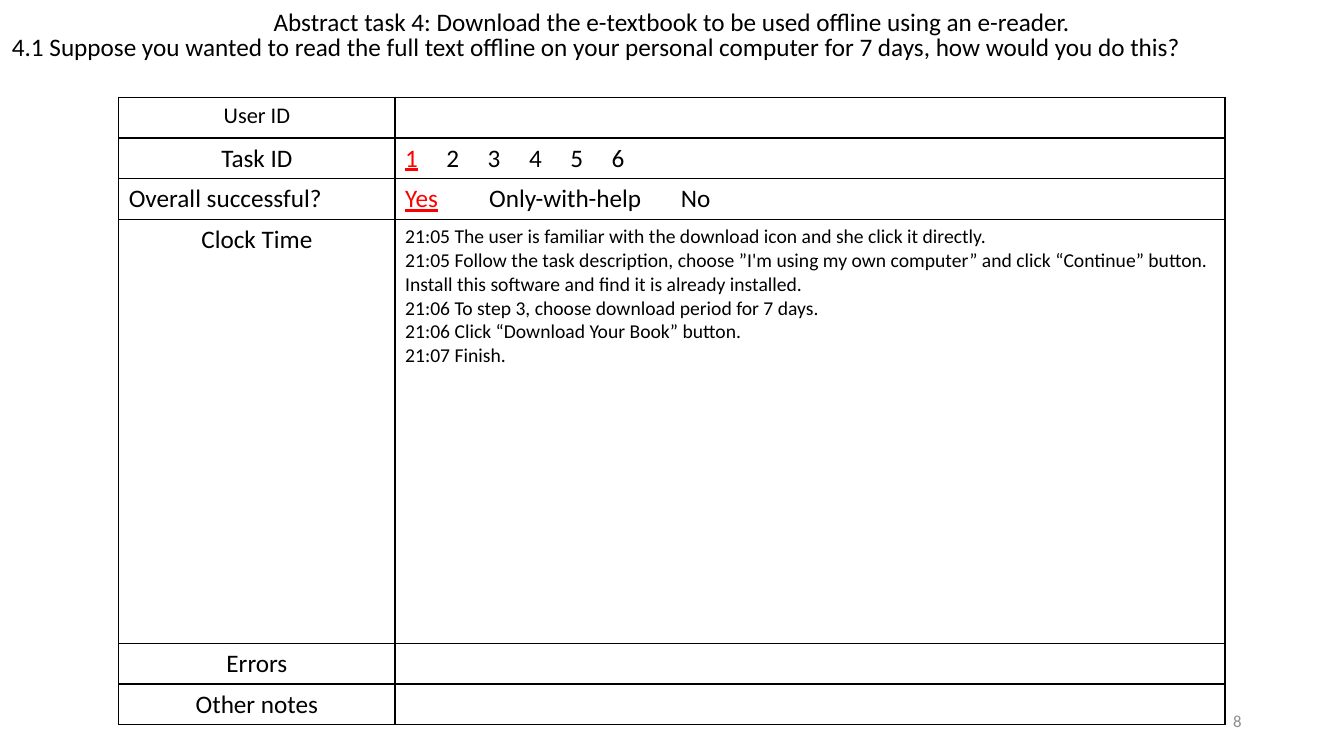
from lxml import etree
from pptx import Presentation
from pptx.dml.color import RGBColor
from pptx.enum.text import MSO_ANCHOR, PP_ALIGN
from pptx.oxml.ns import qn
from pptx.util import Pt

LEFT, MID, RIGHT = PP_ALIGN.LEFT, PP_ALIGN.CENTER, PP_ALIGN.RIGHT
TOP, HALF = MSO_ANCHOR.TOP, MSO_ANCHOR.MIDDLE
BLACK = RGBColor(0, 0, 0)
RED = RGBColor(255, 0, 0)
GREY = RGBColor(0x8C, 0x8C, 0x8C)

ROW, TALL = 29.2, 302.4
COLS = (197.4, 592.8)
LABELS = (("User ID", 16, MID), ("Task ID", 18, MID),
          ("Overall successful?", 18, LEFT), ("Clock Time", 18, MID),
          ("Errors", 18, MID), ("Other notes", 18, MID))
TASKS = ("1", "2", "3", "4", "5", "6")
RATES = ("Yes", "Only-with-help", "No")
LOG = (
    "21:05 The user is familiar with the download icon and she click it directly.",
    "21:05 Follow the task description, choose ”I'm using my own computer” "
    "and click “Continue” button.",
    "Install this software and find it is already installed.",
    "21:06 To step 3, choose download period for 7 days.",
    "21:06 Click “Download Your Book” button.",
    "21:07 Finish.",
)


def style(font, size, color=BLACK, line=False):
    """Apply the shared font with a size, colour and underline."""
    looks = {"name": "Calibri", "size": Pt(size), "bold": False, "underline": line}
    for key, value in looks.items():
        setattr(font, key, value)
    font.color.rgb = color


def write(frame, lines, size, align=LEFT, color=BLACK):
    """Write one paragraph for each line."""
    for i, line in enumerate(lines):
        para = frame.add_paragraph() if i else frame.paragraphs[0]
        para.alignment = align
        run = para.add_run()
        run.text = line
        style(run.font, size, color)


def choose(frame, words, stops):
    """Set options on tab stops, with the first one marked as chosen."""
    para = frame.paragraphs[0]
    tabs = etree.SubElement(para._p.get_or_add_pPr(), qn("a:tabLst"))
    for stop in stops:
        etree.SubElement(tabs, qn("a:tab"), pos=str(Pt(stop)), algn="l")
    for i, word in enumerate(words):
        run = para.add_run()
        run.text = "\t" + word if i else word
        style(run.font, 18, BLACK if i else RED, not i)


def edge(cell):
    """Give a cell black borders and no fill."""
    props = cell._tc.get_or_add_tcPr()
    for side in ("lnL", "lnR", "lnT", "lnB"):
        line = etree.SubElement(props, qn("a:" + side), w=str(Pt(1)))
        fill = etree.SubElement(line, qn("a:solidFill"))
        etree.SubElement(fill, qn("a:srgbClr"), val=str(BLACK))
    cell.fill.background()


def label(slide, box, text, size=18, align=LEFT, color=BLACK, anchor=TOP):
    """Place one line of text in a box."""
    frame = slide.shapes.add_textbox(*map(Pt, box)).text_frame
    frame.word_wrap = True
    frame.vertical_anchor = anchor
    write(frame, [text], size, align, color)


def head(slide, box):
    """Place the task title and its question on two lines."""
    x, y, w, h = box
    label(slide, (x, y, w, h), "Abstract task 4: Download the e-textbook to be "
          "used offline using an e-reader.", align=MID)
    label(slide, (x, y + 18, w, h), "4.1 Suppose you wanted to read the full text "
          "offline on your personal computer for 7 days, how would you do this?")


def sheet(slide, box):
    """Build the record sheet for one user."""
    shape = slide.shapes.add_table(len(LABELS), len(COLS), *map(Pt, box))
    table = shape.table
    table.first_row = table.horz_banding = False
    for col, width in zip(table.columns, COLS):
        col.width = Pt(width)
    for row, (text, size, align) in zip(table.rows, LABELS):
        row.height = Pt(TALL if text == "Clock Time" else ROW)
        for cell in row.cells:
            edge(cell)
            style(cell.text_frame.paragraphs[0].font, 18)
        write(row.cells[0].text_frame, [text], size, align)
    task, rate, log = (table.cell(i, 1).text_frame for i in (1, 2, 3))
    choose(task, TASKS, [29.5 * i for i in range(1, len(TASKS))])
    choose(rate, RATES, (60, 197))
    write(log, LOG, 14)


def main():
    """Build the slide and save it."""
    deck = Presentation()
    deck.slide_width, deck.slide_height = Pt(960), Pt(540)
    slide = deck.slides.add_slide(deck.slide_layouts[6])
    sheet(slide, (84.8, 69.4, sum(COLS), 5 * ROW + TALL))
    head(slide, (1.4, 1, 957, 29))
    label(slide, (678, 500.5, 216, 28.8), "8", 12, RIGHT, GREY, HALF)
    deck.save("out.pptx")


main()
